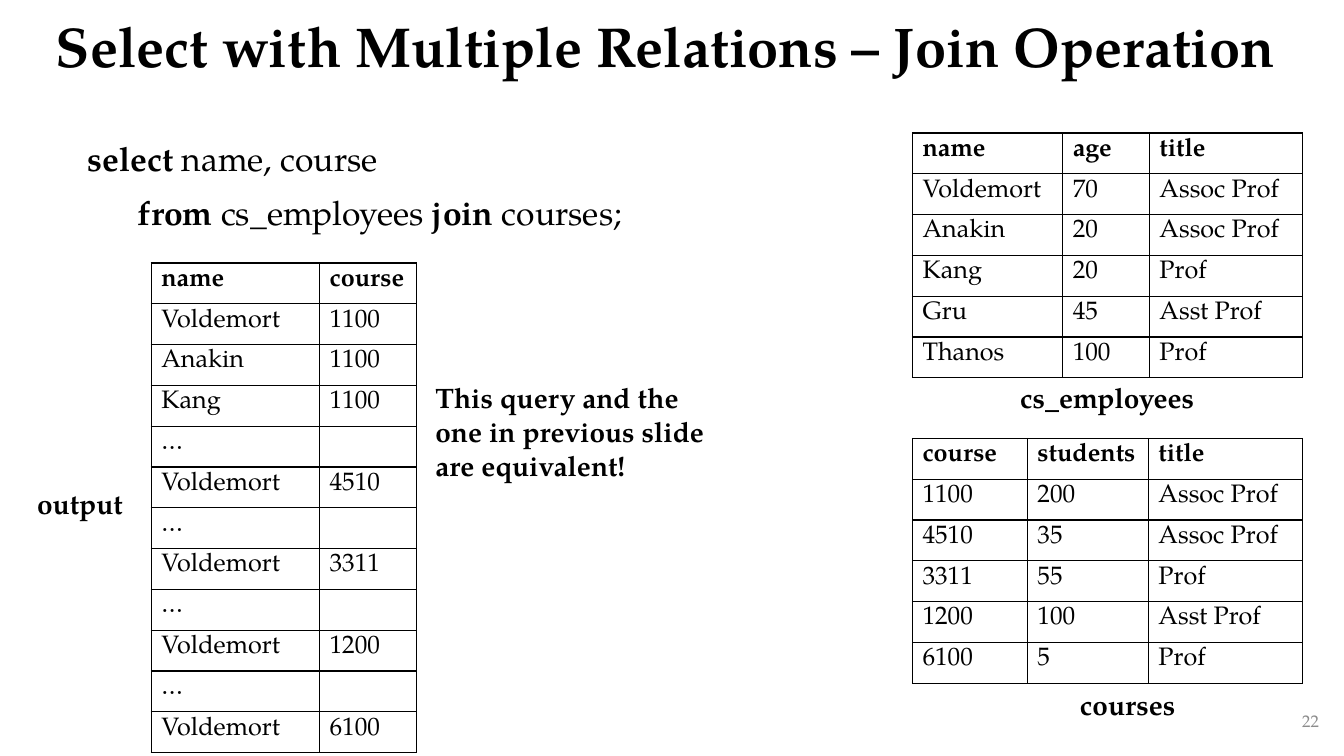
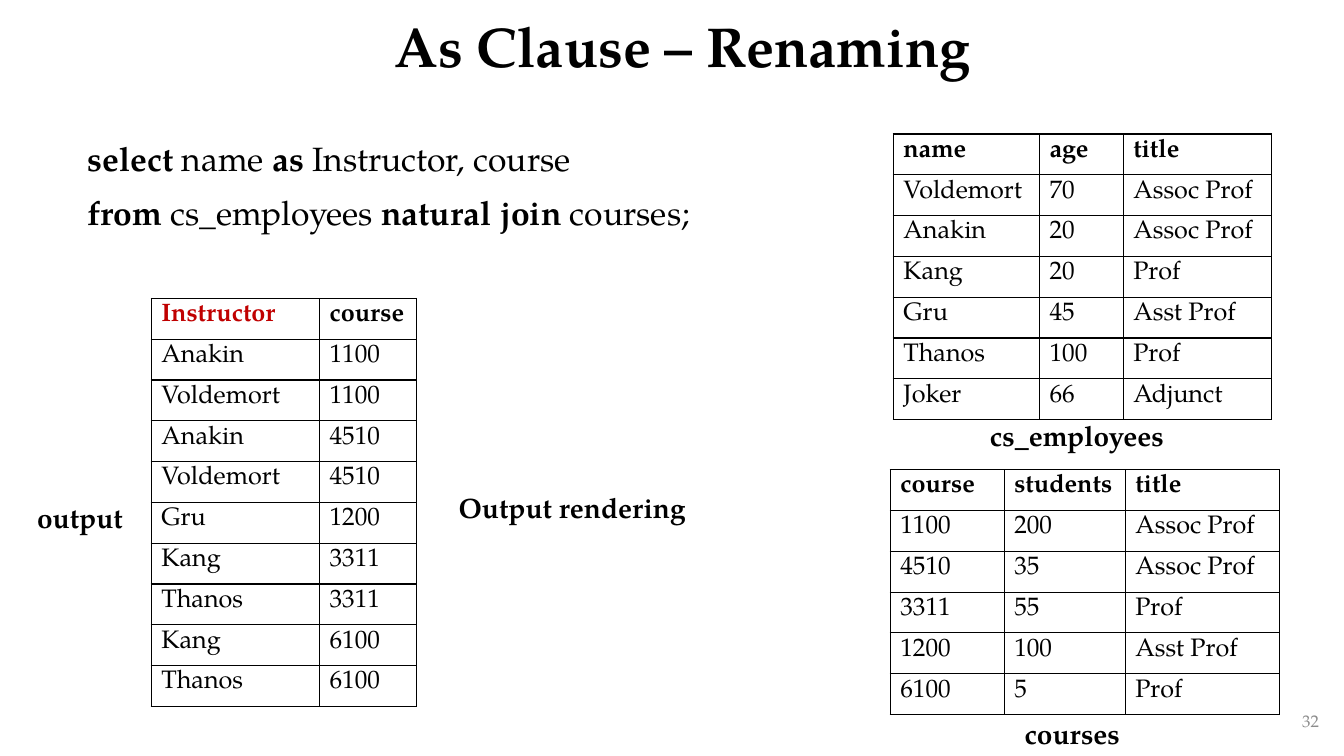
import pptx
import pptx.dml.color
import pptx.enum.text
import pptx.oxml
import pptx.oxml.ns
import pptx.util
from dataclasses import dataclass

Inches = pptx.util.Inches
ALIGN = pptx.enum.text.PP_ALIGN
ANCHOR = pptx.enum.text.MSO_ANCHOR


@dataclass(frozen=True)
class Theme:
    font: str = "TeX Gyre Pagella"
    ink: str = "000000"
    accent: str = "C00000"
    muted: str = "8C8C8C"
    title_size: int = 40
    query_size: int = 24
    label_size: int = 20
    cell_size: int = 18
    number_size: int = 12
    border_width: int = 1


theme = Theme()
ROW_HEIGHT = Inches(2.43) // 6


def write_runs(paragraph, runs, size, color=theme.ink):
    """Append (text, bold) pairs to a paragraph in the theme font."""
    for text, bold in runs:
        run = paragraph.add_run()
        run.text = text
        run.font.name = theme.font
        run.font.size = pptx.util.Pt(size)
        run.font.bold = bold
        run.font.color.rgb = pptx.dml.color.RGBColor.from_string(color)


def add_text(slide, box, lines, size, color=theme.ink, align=ALIGN.LEFT,
             anchor=ANCHOR.TOP, space_before=None, line_spacing=None):
    """Add a text box; each line is a list of (text, bold) pairs."""
    frame = slide.shapes.add_textbox(*map(Inches, box)).text_frame
    frame.word_wrap = True
    frame.vertical_anchor = anchor
    for index, runs in enumerate(lines):
        paragraph = frame.add_paragraph() if index else frame.paragraphs[0]
        paragraph.alignment = align
        paragraph.line_spacing = line_spacing
        if space_before:
            paragraph.space_before = pptx.util.Pt(space_before)
        write_runs(paragraph, runs, size, color)


employees = [
    ("name", "age", "title"),
    ("Voldemort", "70", "Assoc Prof"),
    ("Anakin", "20", "Assoc Prof"),
    ("Kang", "20", "Prof"),
    ("Gru", "45", "Asst Prof"),
    ("Thanos", "100", "Prof"),
]
courses = [
    ("course", "students", "title"),
    ("1100", "200", "Assoc Prof"),
    ("4510", "35", "Assoc Prof"),
    ("3311", "55", "Prof"),
    ("1200", "100", "Asst Prof"),
    ("6100", "5", "Prof"),
]
join_output = [("name", "course"), ("Voldemort", "1100"), ("Anakin", "1100"), ("Kang", "1100")]
for course in ("4510", "3311", "1200", "6100"):
    join_output += [("…", ""), ("Voldemort", course)]
renamed_output = [
    ("Instructor", "course"),
    ("Anakin", "1100"),
    ("Voldemort", "1100"),
    ("Anakin", "4510"),
    ("Voldemort", "4510"),
    ("Gru", "1200"),
    ("Kang", "3311"),
    ("Thanos", "3311"),
    ("Kang", "6100"),
    ("Thanos", "6100"),
]
output_columns = (1.67, 0.96)

# Tables: left, top, column widths, rows. Labels: text, box, alignment.
pages = [
    {
        "number": "22",
        "title": "Select with Multiple Relations – Join Operation",
        "title_box": (0.27, 0, 12.66, 0.98),
        "query_width": 10.11,
        "query": [
            [("select", True), (" name, course", False)],
            [("\tfrom ", True), ("cs_employees", False), (" join", True), (" courses;", False)],
        ],
        "tables": [
            (9.05, 1.32, (1.49, 0.86, 1.52), employees),
            (9.05, 4.35, (1.14, 1.2, 1.53), courses),
            (1.5, 2.61, output_columns, join_output),
        ],
        "labels": [
            ("cs_employees", (10.02, 3.73, 2.01, 0.44), ALIGN.LEFT),
            ("courses", (10.18, 6.77, 2.01, 0.44), ALIGN.CENTER),
            ("output", (0.27, 4.78, 1.21, 0.44), ALIGN.LEFT),
            ("This query and the one in previous slide are equivalent!",
             (4.22, 3.73, 2.94, 1.11), ALIGN.LEFT),
        ],
    },
    {
        "number": "32",
        "title": "As Clause – Renaming",
        "title_box": (1.02, 0, 11.5, 0.98),
        "query_width": 12.25,
        "query": [
            [("select", True), (" name ", False), ("as", True), (" Instructor, course", False)],
            [("from ", True), ("cs_employees ", False), ("natural join", True),
             (" courses;", False)],
        ],
        "tables": [
            (8.86, 1.33, (1.45, 0.83, 1.47), employees + [("Joker", "66", "Adjunct")]),
            (8.83, 4.66, (1.13, 1.2, 1.53), courses),
            (1.5, 2.96, output_columns, renamed_output),
        ],
        "labels": [
            ("cs_employees", (9.72, 4.1, 2.01, 0.44), ALIGN.LEFT),
            ("courses", (9.63, 7.06, 2.01, 0.44), ALIGN.CENTER),
            ("output", (0.27, 4.92, 1.21, 0.44), ALIGN.LEFT),
            ("Output rendering", (4.45, 4.82, 3.88, 0.44), ALIGN.LEFT),
        ],
    },
]

deck = pptx.Presentation()
deck.slide_width = Inches(13.33)
deck.slide_height = Inches(7.5)

for page in pages:
    slide = deck.slides.add_slide(deck.slide_layouts[6])
    add_text(slide, (0.77, 1.32, page["query_width"], 5.58), page["query"],
             theme.query_size, align=ALIGN.JUSTIFY, space_before=10)
    add_text(slide, (10.18, 6.95, 3, 0.4), [[(page["number"], False)]], theme.number_size,
             theme.muted, ALIGN.RIGHT, ANCHOR.MIDDLE)
    add_text(slide, page["title_box"], [[(page["title"], True)]], theme.title_size,
             align=ALIGN.CENTER, anchor=ANCHOR.MIDDLE, line_spacing=0.9)

    for left, top, widths, rows in page["tables"]:
        relation = slide.shapes.add_table(
            len(rows), len(widths), Inches(left), Inches(top),
            Inches(sum(widths)), ROW_HEIGHT * len(rows)).table
        relation.first_row = relation.horz_banding = False
        for column, width in zip(relation.columns, widths):
            column.width = Inches(width)
        for row_index, row in enumerate(rows):
            for column_index, value in enumerate(row):
                cell = relation.cell(row_index, column_index)
                if value:
                    color = theme.accent if value == "Instructor" else theme.ink
                    write_runs(cell.text_frame.paragraphs[0], [(value, row_index == 0)],
                               theme.cell_size, color)
                properties = cell._tc.get_or_add_tcPr()
                for side in ("lnL", "lnR", "lnT", "lnB"):
                    properties.append(pptx.oxml.parse_xml(
                        f'<a:{side} {pptx.oxml.ns.nsdecls("a")}'
                        f' w="{pptx.util.Pt(theme.border_width)}"><a:solidFill>'
                        f'<a:srgbClr val="{theme.ink}"/></a:solidFill></a:{side}>'))
                cell.fill.background()

    for text, box, align in page["labels"]:
        add_text(slide, box, [[(text, True)]], theme.label_size, align=align)

deck.save("out.pptx")
